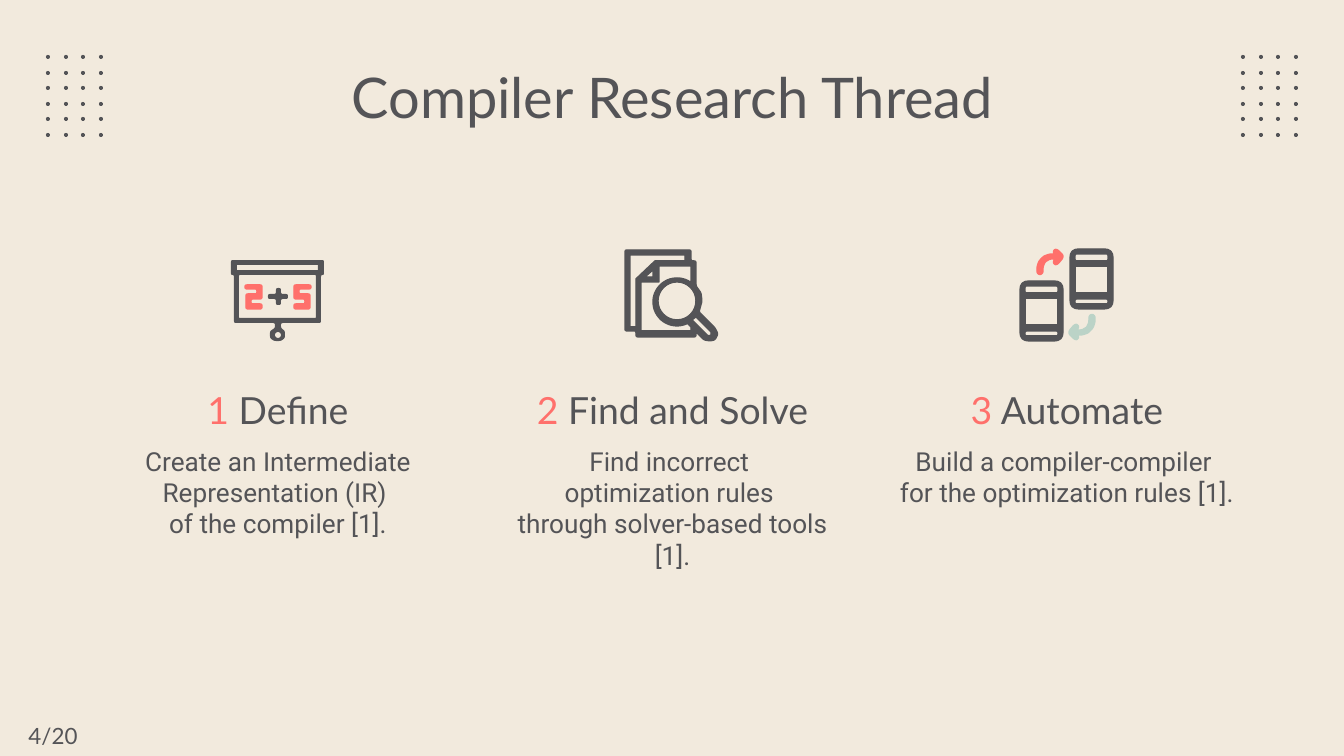
from dataclasses import dataclass
from itertools import product
from math import cos, dist, radians, sin

from pptx import Presentation
from pptx.dml.color import RGBColor
from pptx.enum.shapes import MSO_SHAPE as Shape
from pptx.enum.text import MSO_ANCHOR as Anchor, PP_ALIGN as Align
from pptx.util import Pt

PX = 914400 / 134.4  # EMU in one px
WIDTH, HEIGHT = 1344, 756


@dataclass(frozen=True)
class Theme:
    paper: str = "F2EADD"
    ink: str = "545457"
    coral: str = "FF706B"
    mint: str = "BBD3C7"
    heading_font: str = "Lato"
    body_font: str = "Roboto"
    title_size: int = 30
    heading_size: int = 20
    body_size: int = 14
    number_size: int = 12
    outline: float = 0.75


def emu(px):
    return round(px * PX)


def color(code):
    return RGBColor.from_string(code)


# Outline geometry: every function returns a list of points in px
def arc(x, y, radius, start=0, end=360, steps=32):
    angles = [radians(start + (end - start) * i / steps) for i in range(steps + 1)]
    return [(x + radius * cos(a), y + radius * sin(a)) for a in angles]


def rounded(points, radius=2):
    """Replace each corner by a short quadratic curve."""
    curve = []
    for i, corner in enumerate(points):
        ends = []
        for other in (points[i - 1], points[(i + 1) % len(points)]):
            part = min(radius / dist(corner, other), 0.5)
            ends.append([c + (o - c) * part for c, o in zip(corner, other)])
        for t in (0, 0.25, 0.5, 0.75, 1):
            curve.append(tuple((1 - t) ** 2 * a + 2 * t * (1 - t) * c + t * t * b
                               for a, c, b in zip(ends[0], corner, ends[1])))
    return curve


def rectangle(left, top, right, bottom, radius=0):
    corners = [(left, top), (right, top), (right, bottom), (left, bottom)]
    return rounded(corners, radius) if radius else corners


class Builder:
    def __init__(self, theme):
        self.theme = theme
        self.deck = Presentation()
        self.deck.slide_width, self.deck.slide_height = emu(WIDTH), emu(HEIGHT)
        self.page = self.deck.slides.add_slide(self.deck.slide_layouts[6])
        self.page.background.fill.solid()
        self.page.background.fill.fore_color.rgb = color(theme.paper)

    def paint(self, shape, fill, line=None):
        shape.shadow.inherit = False
        shape.fill.solid()
        shape.fill.fore_color.rgb = color(fill)
        if line:
            shape.line.color.rgb = color(line)
            shape.line.width = Pt(self.theme.outline)
        else:
            shape.line.fill.background()

    def dot(self, left, top, size):
        shape = self.page.shapes.add_shape(
            Shape.OVAL, emu(left), emu(top), emu(size), emu(size))
        self.paint(shape, self.theme.ink)

    def outline(self, contours, fill, line=None):
        """One filled shape; contours after the first cut holes."""
        scaled = [[(emu(x), emu(y)) for x, y in contour] for contour in contours]
        first, *holes = scaled
        builder = self.page.shapes.build_freeform(*first[0], scale=1.0)
        builder.add_line_segments(first[1:], close=True)
        for hole in holes:
            builder.move_to(*hole[0])
            builder.add_line_segments(hole[1:], close=True)
        self.paint(builder.convert_to_shape(), fill, line)

    def text(self, area, paragraphs, font, size, insets=(0, 0, 0, 0), anchor=Anchor.TOP):
        """Each paragraph is a list of (text, color) spans."""
        box = self.page.shapes.add_textbox(*map(emu, area))
        frame = box.text_frame
        frame.word_wrap = True
        frame.vertical_anchor = anchor
        (frame.margin_left, frame.margin_top,
         frame.margin_right, frame.margin_bottom) = map(emu, insets)
        for i, spans in enumerate(paragraphs):
            para = frame.add_paragraph() if i else frame.paragraphs[0]
            para.alignment = Align.CENTER
            para.font.name, para.font.size = font, Pt(size)
            for words, code in spans:
                span = para.add_run()
                span.text = words
                span.font.color.rgb = color(code)


def draw_board(slide):
    theme = slide.theme
    board = [(231, 260), (324, 260), (324, 275), (321, 275), (321, 323), (281, 323),
             (281, 328), (285, 331), (285, 338), (281, 341), (274, 341), (270, 338),
             (270, 331), (275, 328), (275, 323), (234, 323), (234, 275), (231, 275)]
    slide.outline([rounded(board), rectangle(237, 265, 318, 270),
                   rectangle(239, 275, 316, 318, 1), arc(278, 335, 3)], theme.ink)
    plus = [(276, 288), (281, 288), (281, 294), (288, 294), (288, 299), (281, 299),
            (281, 305), (276, 305), (276, 299), (268, 299), (268, 294), (276, 294)]
    slide.outline([rounded(plus)], theme.ink)
    two = [(245, 285), (262, 285), (262, 299), (251, 299), (251, 304), (262, 304),
           (262, 309), (246, 309), (246, 294), (257, 294), (257, 289), (245, 289)]
    five = [(556 - x, y) for x, y in two]
    for digit in (two, five):
        slide.outline([rounded(digit)], theme.coral, theme.coral)


def draw_search(slide):
    silhouette = [(625, 250), (691, 250), (691, 261), (696, 261), (696, 286), (701, 293),
                  (702, 301), (699, 312), (715, 328), (718, 334), (715, 340), (710, 341),
                  (704, 340), (696, 332), (696, 337), (636, 337), (636, 331), (625, 331)]
    back_page = [(685, 255), (685, 261), (655, 261), (636, 279), (636, 327),
                 (630, 327), (630, 255)]
    front_page = [(659, 266), (691, 266), *arc(677, 302, 24, -54, -296), (691, 327),
                  (691, 331), (641, 331), (641, 282), (659, 282)]
    fold = [(653, 270), (653, 277), (645, 277)]
    handle = [(696, 317), (711, 332), (711, 335), (709, 336), (707, 335), (692, 320)]
    slide.outline([rounded(silhouette), back_page, front_page, fold, handle,
                   arc(677, 301, 19)], slide.theme.ink, slide.theme.ink)


def draw_phones(slide):
    theme = slide.theme
    for x, y in ((1020, 281), (1070, 249)):
        slide.outline([rectangle(x, y, x + 43, y + 60, 9),
                       rectangle(x + 5, y + 5, x + 38, y + 12, 2),
                       rectangle(x + 5, y + 17, x + 38, y + 44),
                       rectangle(x + 5, y + 50, x + 38, y + 55, 2)], theme.ink, theme.ink)
    arrow = [(1055, 249), (1053, 252), (1055, 254), (1050, 254), (1044, 256), (1039, 261),
             (1037, 267), (1037, 273), (1040, 275), (1043, 273), (1043, 267), (1045, 262),
             (1050, 259), (1055, 259), (1053, 262), (1055, 265), (1058, 264), (1063, 258),
             (1063, 255), (1058, 250)]
    turned = [(2132 - x, 589 - y) for x, y in arrow]
    for points, code in ((arrow, theme.coral), (turned, theme.mint)):
        slide.outline([rounded(points)], code, code)


# Centre, heading width, text width, heading, text lines, icon
STEPS = [
    (278, 344, 344, "Define",
     ["Create an Intermediate Representation (IR) ", "of the compiler [1]."], draw_board),
    (672, 371, 351, "Find and Solve",
     ["Find incorrect ", "optimization rules ", "through solver-based tools [1]."],
     draw_search),
    (1067, 344, 344, "Automate",
     ["Build a compiler-compiler ", "for the optimization rules [1]."], draw_phones),
]


def main():
    theme = Theme()
    slide = Builder(theme)

    # Dot grids in the upper corners
    for left, row, column in product((46, 1241), range(6), range(4)):
        slide.dot(left + round(17.6 * column), 55 + round(15.6 * row), 4)

    # Title
    slide.text((106, 54, 1133, 85), [[("Compiler Research Thread", theme.ink)]],
               theme.heading_font, theme.title_size, (13, 9, 13, 13))

    # Three steps
    for number, (centre, wide, narrow, name, lines, draw_icon) in enumerate(STEPS, 1):
        draw_icon(slide)
        slide.text((centre - wide // 2, 378, wide, 67),
                   [[(str(number), theme.coral), (f" {name}", theme.ink)]],
                   theme.heading_font, theme.heading_size, (13, 9, 13, 13), Anchor.MIDDLE)
        slide.text((centre - narrow // 2, 445, narrow, 94),
                   [[(line, theme.ink)] for line in lines],
                   theme.body_font, theme.body_size)

    # Page number
    slide.text((0, 715, 106, 41), [[("4/20", theme.ink)]], theme.heading_font,
               theme.number_size, (13, 7, 13, 7), Anchor.MIDDLE)

    slide.deck.save("out.pptx")


if __name__ == "__main__":
    main()
